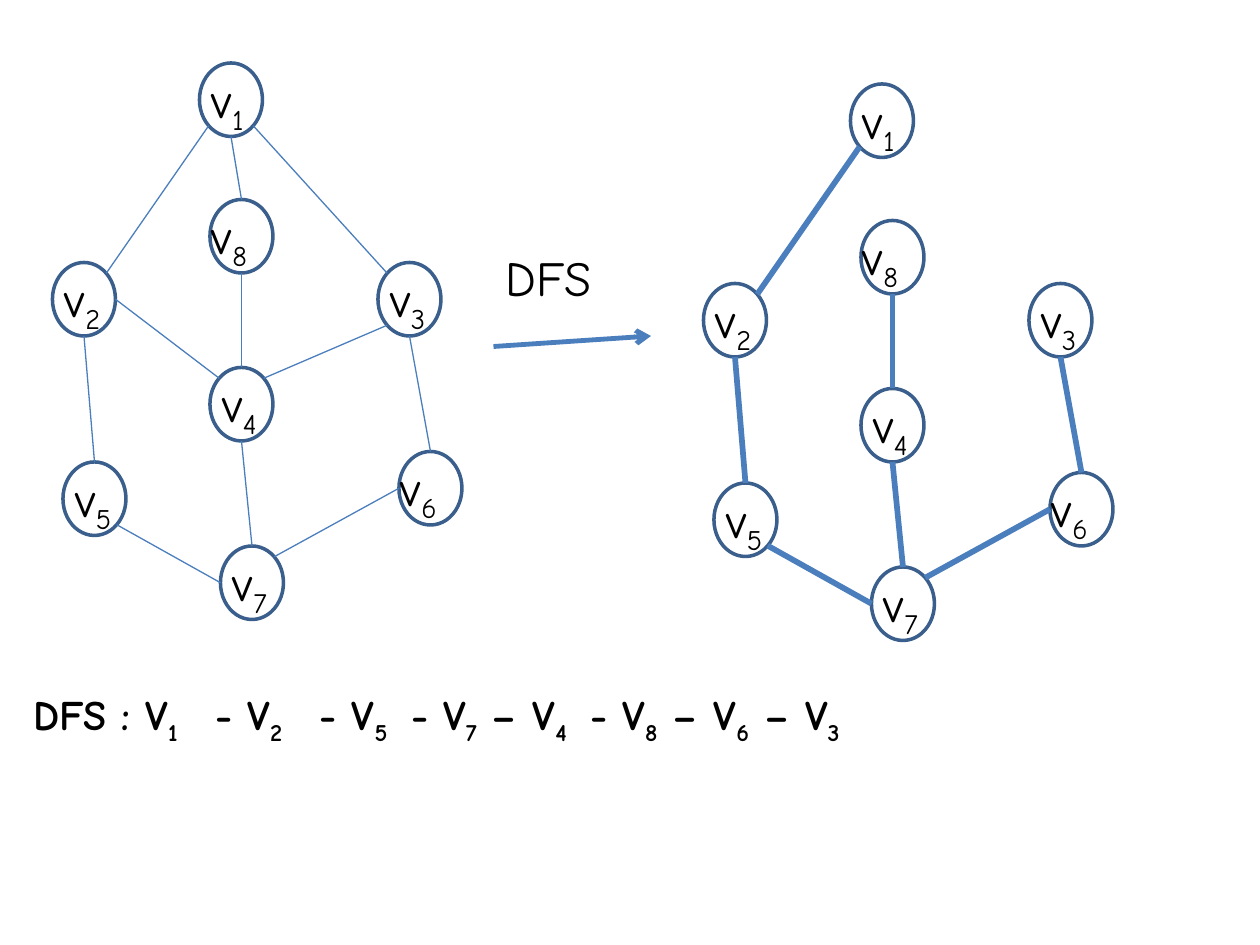
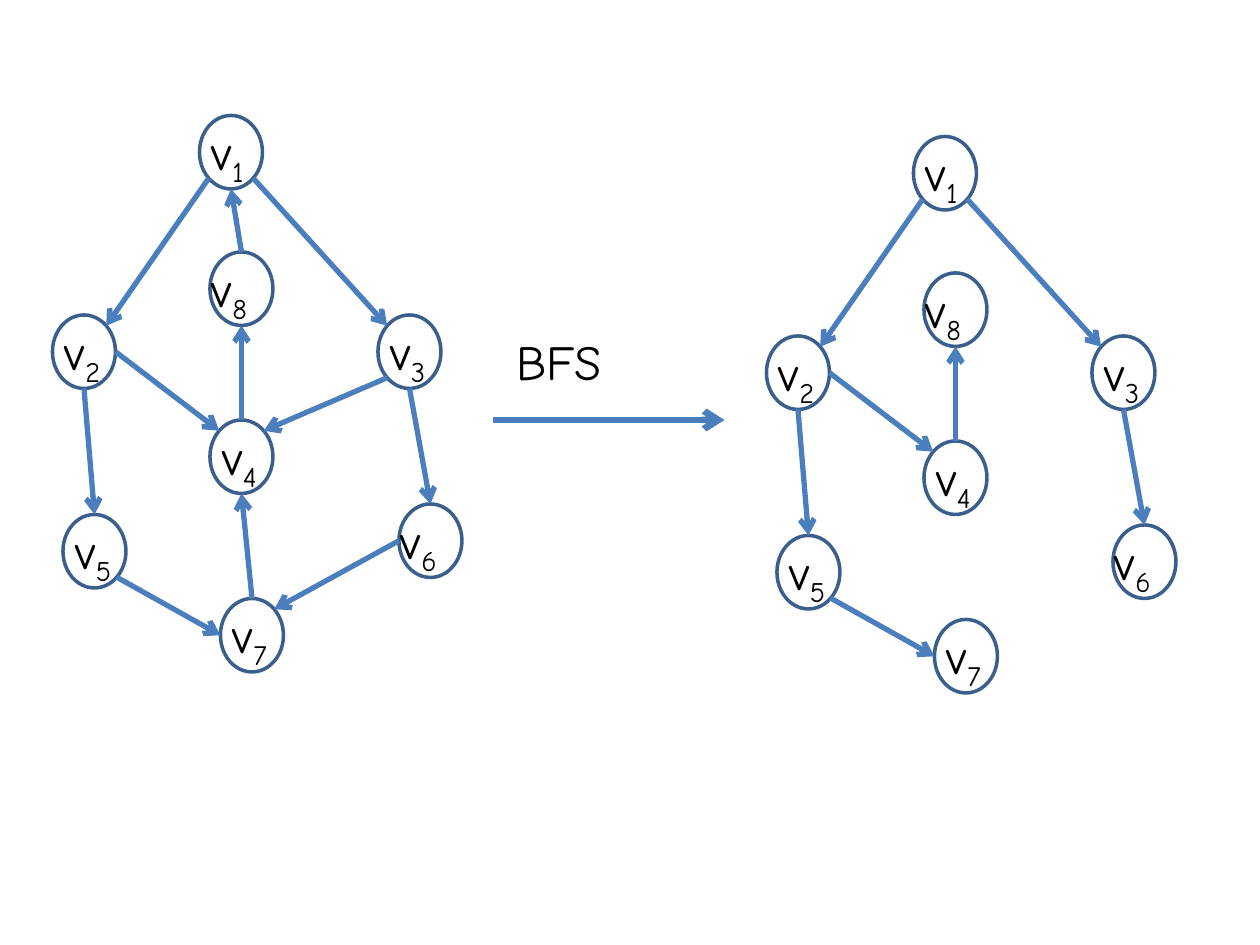
from math import sqrt
from lxml import etree
from pptx import Presentation
from pptx.dml.color import RGBColor
from pptx.enum.shapes import MSO_CONNECTOR, MSO_SHAPE
from pptx.enum.text import MSO_AUTO_SIZE
from pptx.oxml.ns import qn
from pptx.util import Cm, Pt

OVAL = MSO_SHAPE.OVAL
LINE = MSO_CONNECTOR.STRAIGHT
GROW = MSO_AUTO_SIZE.SHAPE_TO_FIT_TEXT

RING = RGBColor(0x3A, 0x5F, 0x8C)
EDGE = RGBColor(0x4B, 0x7E, 0xBC)
INK = RGBColor(0, 0, 0)
FONT = "Comic Neue"

# Lengths below are in grid units, twelve to the inch
UNIT = 2.54 / 12
WIDE, HIGH = 6, 7      # node size
BOX = 6.84             # height of a one-line label

# Nodes: number -> (left, top) within a graph
NODES = {1: (14, 0), 3: (31, 19), 8: (15, 13), 2: (0, 19),
         4: (15, 29), 5: (1, 38), 7: (16, 46), 6: (33, 37)}
SHIFT = {8: -1, 6: -1}  # labels that sit left of their node

# Edges: (start, end) -> the side of each node that is touched
EDGES = {(1, 2): ("BL", "TR"), (8, 1): ("T", "B"), (1, 3): ("BR", "TL"),
         (2, 5): ("B", "T"), (5, 7): ("BR", "L"), (2, 4): ("R", "TL"),
         (4, 8): ("T", "B"), (3, 4): ("BL", "TR"), (7, 4): ("T", "B"),
         (3, 6): ("B", "T"), (6, 7): ("L", "TR")}
DFS = [(1, 2), (2, 5), (5, 7), (4, 8), (7, 4), (3, 6), (6, 7)]
BFS = [(1, 2), (1, 3), (2, 5), (5, 7), (2, 4), (4, 8), (3, 6)]

# Visit order: (text before, node, extra gap after in points)
VISIT = [("DFS : V", "1 ", 8), (" - V", "2 ", 8), (" - V", "5 ", 0),
         (" - V", "7", 0), (" – V", "4 ", 0), (" - V", "8", 0),
         (" – V", "6", 0), (" – V", "3", 0)]

# Slides: graphs as (origin, edges, width, arrows), then title and arrow
SLIDES = [
    dict(graphs=[((5, 6), EDGES, 0.75, False), ((67, 8), DFS, 3.25, False)],
         title=("DFS", 47, 23, 14), arrow=((47, 33), (62, 32), 2.75),
         visit=VISIT),
    dict(graphs=[((5, 11), EDGES, 3, True), ((73, 13), BFS, 3, True)],
         title=("BFS", 48, 31, 20), arrow=((47, 40), (69, 40), 3.75),
         visit=[]),
]


def grid(*nums):
    return [Cm(n * UNIT) for n in nums]


def write(shapes, runs, x, y, w, h=BOX, size=28, bold=False):
    """Add a text box; each run is (text, is subscript, extra gap)."""
    box = shapes.add_textbox(*grid(x, y, w, h))
    frame = box.text_frame
    frame.word_wrap = True
    frame.auto_size = GROW
    for text, sub, gap in runs:
        run = frame.paragraphs[0].add_run()
        run.text = text
        font = run.font
        font.name, font.size, font.bold = FONT, Pt(size), bold
        font.color.rgb = INK
        props = run._r.get_or_add_rPr()
        if sub:
            props.set("baseline", "-25000")
        if gap:
            props.set("spc", str(gap * 100))


def link(shapes, start, end, width, arrow):
    line = shapes.add_connector(LINE, *grid(*start, *end))
    line.line.color.rgb = EDGE
    line.line.width = Pt(width)
    if arrow:
        etree.SubElement(line.get_or_add_ln(), qn("a:tailEnd"), type="arrow")
    etree.SubElement(line._element.spPr, qn("a:effectLst"))


def touch(spot, side):
    """Point on a node's rim, such as T for top or BL for bottom left."""
    dx = ("R" in side) - ("L" in side)
    dy = ("B" in side) - ("T" in side)
    reach = 2 * sqrt(dx * dx + dy * dy)
    return (spot[0] + WIDE / 2 + WIDE * dx / reach,
            spot[1] + HIGH / 2 + HIGH * dy / reach)


def graph(slide, origin, edges, width, arrow):
    shapes = slide.shapes.add_group_shape().shapes
    spots = {n: (origin[0] + x, origin[1] + y) for n, (x, y) in NODES.items()}
    for spot in spots.values():
        node = shapes.add_shape(OVAL, *grid(*spot, WIDE, HIGH))
        node.shadow.inherit = False
        node.fill.background()
        node.line.color.rgb = RING
        node.line.width = Pt(2)
    for pair in edges:
        ends = [touch(spots[n], side) for n, side in zip(pair, EDGES[pair])]
        link(shapes, *ends, width, arrow)
    for n, (x, y) in spots.items():
        write(shapes, [("v", False, 0), (str(n), True, 0)],
              x + SHIFT.get(n, 0), y, 8)


prs = Presentation()
prs.slide_width, prs.slide_height = Cm(25.4), Cm(19.05)

for item in SLIDES:
    slide = prs.slides.add_slide(prs.slide_layouts[6])
    for part in item["graphs"]:
        graph(slide, *part)

    # Step from graph to search tree
    title, *place = item["title"]
    write(slide.shapes, [(title, False, 0)], *place)
    link(slide.shapes, *item["arrow"], True)

    # Visit order
    runs = []
    for text, node, gap in item["visit"]:
        runs += [(text, False, 0), (node[0], True, 0)]
        if node[1:]:
            runs.append((node[1:], True, gap))
    if runs:
        write(slide.shapes, runs, 2, 65, 111, 6, size=24, bold=True)

prs.save("out.pptx")
